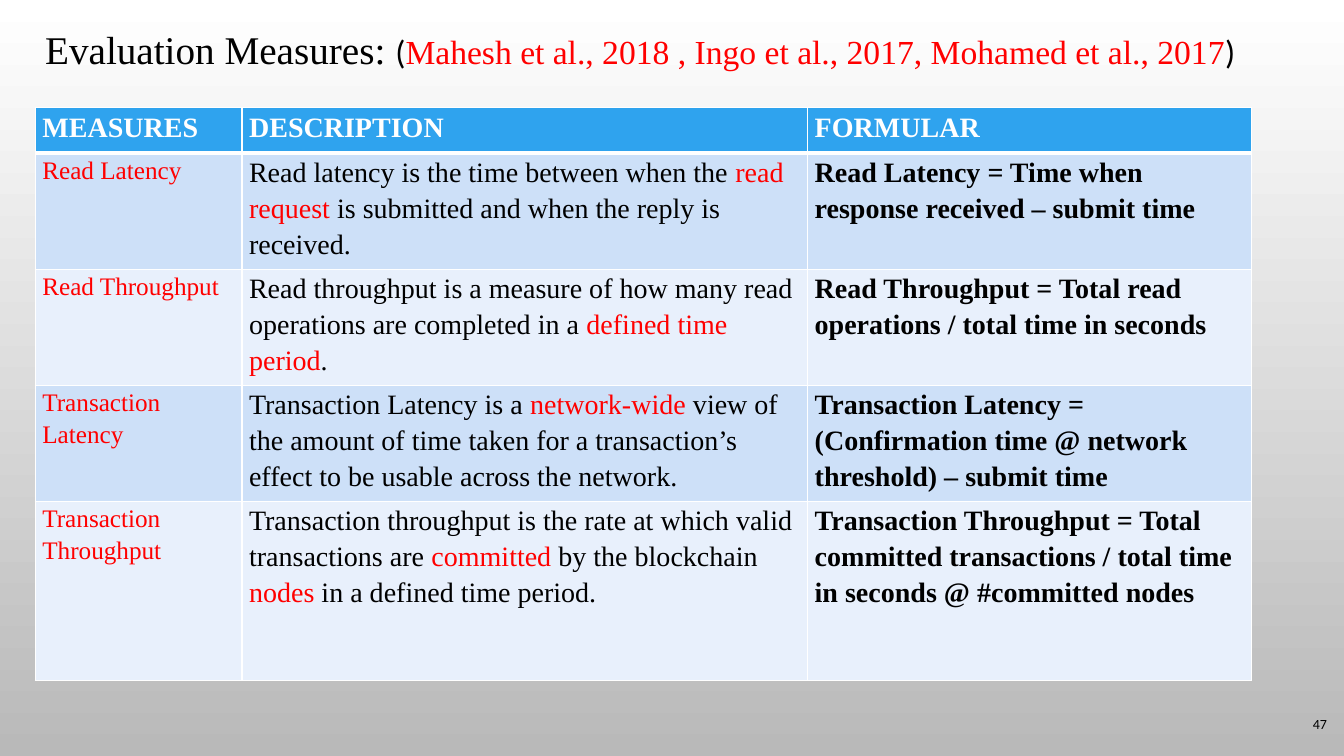
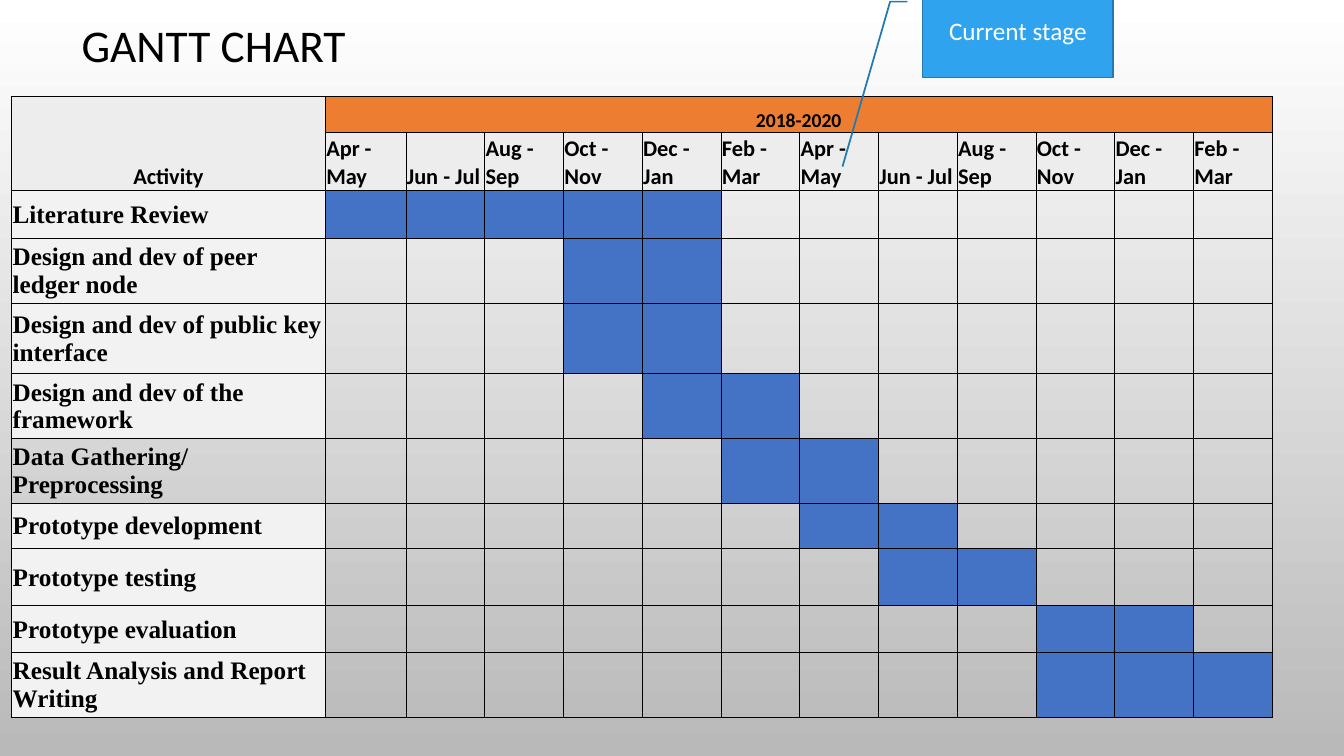
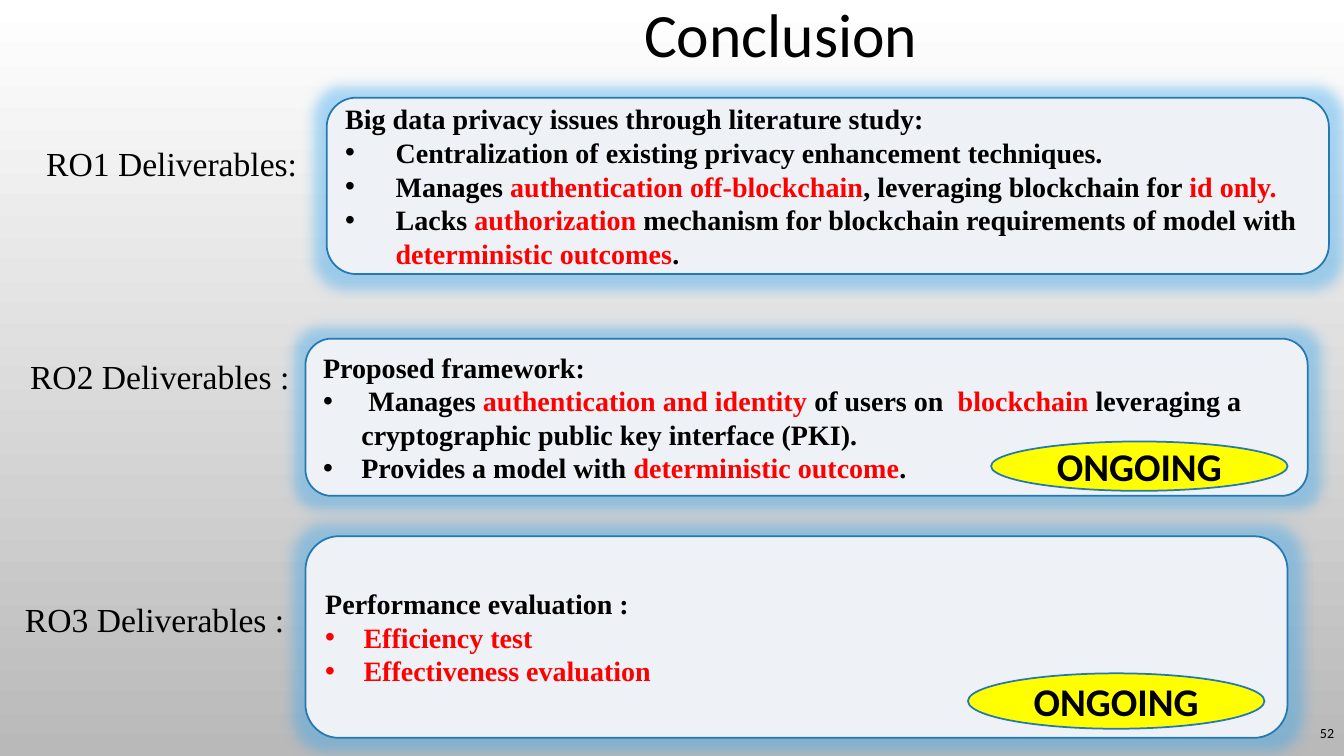
from dataclasses import dataclass, replace
from typing import Any, NamedTuple

from lxml.etree import SubElement
from pptx import Presentation
from pptx.dml.color import RGBColor
from pptx.enum.shapes import MSO_SHAPE
from pptx.enum.text import MSO_ANCHOR, PP_ALIGN
from pptx.oxml.ns import qn
from pptx.util import Emu, Inches, Pt


# Theme
@dataclass(frozen=True)
class Font:
    size: float
    face: str = "Times New Roman"
    bold: bool = False
    color: str = "000000"


@dataclass(frozen=True)
class Theme:
    top: str = "FFFFFF"
    base: str = "B9B9B9"
    ink: str = "000000"
    white: str = "FFFFFF"
    red: str = "FF0000"
    blue: str = "2FA3EE"
    edge: str = "2379B0"
    pale: str = "EEF2F7"
    gold: str = "FFFF00"
    bands: tuple[str, str] = ("CDE0F8", "E8F0FC")
    bar: str = "4472C4"
    year: str = "ED7D31"
    head: str = "EDEDED"
    side: str = "F2F2F2"
    title: Font = Font(28)
    cite: Font = Font(24)
    brace: Font = Font(24, "Calibri")
    gantt: Font = Font(32.4, "Calibri")
    close: Font = Font(44, "Calibri")
    page: Font = Font(10, "Calibri")
    label: Font = Font(24)
    body: Font = Font(20)
    strong: Font = Font(20, bold=True)
    small: Font = Font(18)
    task: Font = Font(18, bold=True)
    month: Font = Font(16, "Calibri", True)
    span: Font = Font(14, "Calibri", True)
    note: Font = Font(18, "Calibri", color="FFFFFF")
    badge: Font = Font(28, "Calibri", True)


T = Theme()
WIDE, HIGH = Inches(13.33), Inches(7.5)
LOOSE = {"line_spacing": 1.15, "space_after": Pt(10)}
MID = {"alignment": PP_ALIGN.CENTER}
SIDE = {"alignment": PP_ALIGN.RIGHT}
LABEL = {"alignment": PP_ALIGN.JUSTIFY, "line_spacing": 0.95, "space_after": Pt(6)}


# Grid of 100 columns and 100 rows over the slide
def col(n: float) -> Emu:
    return Emu(round(WIDE * n / 100))


def row(n: float) -> Emu:
    return Emu(round(HIGH * n / 100))


class Box(NamedTuple):
    x: float
    y: float
    w: float
    h: float

    def place(self) -> tuple[Emu, Emu, Emu, Emu]:
        return col(self.x), row(self.y), col(self.w), row(self.h)


class Card(NamedTuple):
    label: str
    spot: Box
    box: Box
    hang: float
    lines: tuple[str, ...]


class Task(NamedTuple):
    name: str
    high: float
    start: int
    count: int
    fill: str | None = T.side


# Text
def put(item: Any, form: dict[str, Any]) -> None:
    for key, val in form.items():
        setattr(item, key, val)


def add_run(para: Any, text: str, font: Font) -> None:
    run = para.add_run()
    run.text = text
    put(run.font, {"size": Pt(font.size), "name": font.face, "bold": font.bold})
    run.font.color.rgb = RGBColor.from_string(font.color)


def mark(para: Any, text: str, font: Font) -> None:
    """Text between asterisks is red."""
    for i, part in enumerate(text.split("*")):
        if part:
            add_run(para, part, replace(font, color=T.red) if i % 2 else font)


def indent(para: Any, left: float, first: float, bullet: bool = False) -> None:
    props = para._p.get_or_add_pPr()
    props.set("marL", str(Inches(left)))
    props.set("indent", str(Inches(first)))
    if bullet:
        SubElement(props, qn("a:buFont"), typeface="Arial")
        SubElement(props, qn("a:buChar"), char="•")


def write(frame: Any, lines: tuple[str, ...], font: Font,
          form: dict[str, Any], hang: float = 0) -> None:
    for i, line in enumerate(lines):
        para = frame.add_paragraph() if i else frame.paragraphs[0]
        put(para, form)
        if line.startswith("•"):
            indent(para, hang, -hang, True)
        mark(para, line.removeprefix("•"), font)


def add_text(slide: Any, box: Box, text: str, font: Font,
             form: dict[str, Any], anchor: Any = MSO_ANCHOR.TOP) -> Any:
    frame = slide.shapes.add_textbox(*box.place()).text_frame
    put(frame, {"word_wrap": True, "vertical_anchor": anchor})
    write(frame, (text,), font, form)
    return frame.paragraphs[0]


def add_page(slide: Any, box: Box, num: int) -> None:
    add_text(slide, box, str(num), T.page, SIDE, MSO_ANCHOR.MIDDLE)


# Shapes
def add_form(slide: Any, kind: Any, box: Box, fill: str, lines: tuple[str, ...],
             font: Font, align: Any, hang: float = 0) -> Any:
    shape = slide.shapes.add_shape(kind, *box.place())
    shape.shadow.inherit = False
    shape.fill.solid()
    shape.fill.fore_color.rgb = RGBColor.from_string(fill)
    shape.line.color.rgb = RGBColor.from_string(T.edge)
    shape.line.width = Pt(1.25)
    put(shape.text_frame, {"word_wrap": True, "vertical_anchor": MSO_ANCHOR.MIDDLE})
    write(shape.text_frame, lines, font, {"alignment": align}, hang)
    return shape


def add_glow(shape: Any) -> None:
    effects = shape._element.spPr.find(qn("a:effectLst"))
    glow = SubElement(effects, qn("a:glow"), rad=str(Pt(18)))
    tint = SubElement(glow, qn("a:srgbClr"), val=T.blue)
    SubElement(tint, qn("a:alpha"), val="40000")


# Tables
def add_grid(slide: Any, x: float, y: float, cols: list[float], rows: list[float]) -> Any:
    box = Box(x, y, sum(cols), sum(rows))
    table = slide.shapes.add_table(len(rows), len(cols), *box.place()).table
    put(table, {"first_row": False, "horz_banding": False})
    for part, size in zip(table.columns, cols):
        part.width = col(size)
    for part, size in zip(table.rows, rows):
        part.height = row(size)
    return table


def dress(cell: Any, fill: str | None, line: str, wide: float,
          pad: tuple[float, float], anchor: Any, low: float | None = None) -> None:
    side, top = pad
    put(cell, {"margin_left": Inches(side), "margin_right": Inches(side),
               "margin_top": Inches(top), "margin_bottom": 0,
               "vertical_anchor": anchor})
    props = cell._tc.get_or_add_tcPr()
    for edge in "LRTB":
        size = low if low and edge == "B" else wide
        rule = SubElement(props, qn(f"a:ln{edge}"), w=str(Pt(size)))
        paint = SubElement(rule, qn("a:solidFill"))
        SubElement(paint, qn("a:srgbClr"), val=line)
    if fill:
        cell.fill.solid()
        cell.fill.fore_color.rgb = RGBColor.from_string(fill)
    else:
        cell.fill.background()


# Evaluation measures
HEADS = ("MEASURES", "DESCRIPTION", "FORMULAR")
MEASURES = (
    ("*Read Latency*",
     "Read latency is the time between when the *read request *is submitted and when "
     "the reply is received.",
     "Read Latency = Time when response received – submit time"),
    ("*Read Throughput*",
     "Read throughput is a measure of how many read operations are completed in a "
     "*defined time period*.",
     "Read Throughput = Total read operations / total time in seconds"),
    ("*Transaction Latency*",
     "Transaction Latency is a *network-wide *view of the amount of time taken for a "
     "transaction’s effect to be usable across the network.",
     "Transaction Latency = (Confirmation time @ network threshold) – submit time"),
    ("*Transaction Throughput*",
     "Transaction throughput is the rate at which valid transactions are *committed* "
     "by the blockchain *nodes* in a defined time period.",
     "Transaction Throughput = Total committed transactions / total time in seconds "
     "@ #committed nodes"),
)


def draw_eval(slide: Any) -> None:
    para = add_text(slide, Box(2.63, 1.73, 94.7, 8), "Evaluation Measures: ", T.title, LOOSE)
    add_run(para, "(", T.brace)
    mark(para, "*Mahesh et al., 2018 , Ingo et al., 2017, Mohamed et al., 2017*", T.cite)
    add_run(para, ")", T.brace)

    table = add_grid(slide, 2.63, 14.27, [15.38, 42.09, 33.01], [6, *[15.07] * 3, 23.73])
    for r, texts in enumerate((HEADS, *MEASURES)):
        for c, text in enumerate(texts):
            cell = table.cell(r, c)
            fill = T.bands[(r - 1) % 2] if r else T.blue
            dress(cell, fill, T.white, 1, (0.07, 0), MSO_ANCHOR.TOP, None if r else 3)
            font = (T.small, T.body, T.strong)[c] if r else replace(T.strong, color=T.white)
            write(cell.text_frame, (text,), font, LOOSE)
    add_page(slide, Box(93.17, 93.07, 6.3, 5.33), 47)


# Gantt chart
MONTHS = ("Apr - May", "Jun - Jul", "Aug - Sep", "Oct - Nov", "Dec - Jan", "Feb - Mar") * 2
TASKS = (
    Task("Literature Review", 6.4, 1, 5),
    Task("Design and dev of peer ledger node", 8.53, 4, 2),
    Task("Design and dev of public key interface", 9.33, 4, 2),
    Task("Design and dev of the framework", 8.6, 5, 2),
    Task("Data Gathering/ Preprocessing", 8.53, 6, 2, None),
    Task("Prototype development", 6, 7, 2),
    Task("Prototype testing", 7.6, 8, 2),
    Task("Prototype evaluation", 6.2, 10, 2),
    Task("Result Analysis and Report Writing", 8.53, 10, 3),
)


def draw_gantt(slide: Any) -> None:
    add_text(slide, Box(0.9, 2.4, 30, 7.87), "GANTT CHART", T.gantt,
             {**MID, "line_spacing": 0.9}, MSO_ANCHOR.MIDDLE)
    table = add_grid(slide, 0.87, 12.75, [23.33, 6, *[5.86] * 11],
                     [4.8, 7.6, *(task.high for task in TASKS)])

    def fill_in(r: int, c: int, fill: str | None, text: str = "", font: Font = T.month,
                form: dict[str, Any] = {}, anchor: Any = MSO_ANCHOR.BOTTOM) -> None:
        cell = table.cell(r, c)
        dress(cell, fill, T.ink, 0.5, (0.01, 0.01), anchor)
        write(cell.text_frame, (text,), font, form)

    # Headings
    table.cell(0, 0).merge(table.cell(1, 0))
    table.cell(0, 1).merge(table.cell(0, len(MONTHS)))
    fill_in(0, 0, T.head, "Activity", form=MID)
    fill_in(1, 0, T.head)
    for c, name in enumerate(MONTHS, 1):
        fill_in(0, c, T.year, "2018-2020" if c == 1 else "", T.span, MID)
        fill_in(1, c, T.head, name)
    # Tasks and their bars
    for r, task in enumerate(TASKS, 2):
        fill_in(r, 0, task.fill, task.name, T.task, anchor=MSO_ANCHOR.MIDDLE)
        for c in range(1, len(MONTHS) + 1):
            fill_in(r, c, T.bar if 0 <= c - task.start < task.count else None)

    call = add_form(slide, MSO_SHAPE.LINE_CALLOUT_2, Box(68.64, -2.13, 14.18, 12.4),
                    T.blue, ("Current stage",), T.note, PP_ALIGN.CENTER)
    for i, val in enumerate((0.19, -0.08, 0.19, -0.17, 1.95, -0.42)):
        call.adjustments[i] = val


# Conclusion
CARDS = (
    Card("RO1 Deliverables:", Box(1.2, 18.67, 21.91, 6.4), Box(24.31, 12.93, 74.57, 23.33), 0.5, (
        "Big data privacy issues through literature study:",
        "•Centralization of existing privacy enhancement techniques.",
        "•Manages *authentication off-blockchain*, leveraging blockchain for *id only.*",
        "•Lacks *authorization *mechanism for blockchain requirements of model with "
        "*deterministic outcomes*.")),
    Card("RO2 Deliverables :", Box(0, 46.8, 23.11, 6.4), Box(22.73, 44.8, 74.57, 20.8), 0.38, (
        "Proposed framework:",
        "• Manages *authentication and identity *of users on  *blockchain* leveraging a "
        "cryptographic public key interface (PKI).",
        "•Provides a model with *deterministic outcome*.")),
    Card("RO3 Deliverables :", Box(-0.38, 78.93, 23.11, 6.4), Box(22.73, 70.93, 73.07, 26.67), 0.38, (
        "Performance evaluation :",
        "•*Efficiency test*",
        "•*Effectiveness evaluation*")),
)
BADGES = (Box(72.02, 89.07, 22.06, 7.33), Box(73.74, 58.4, 22.06, 6.53))


def draw_close(slide: Any) -> None:
    add_text(slide, Box(47.19, -1.2, 30.68, 11.2), "Conclusion", T.close, {})
    for card in CARDS:
        indent(add_text(slide, card.spot, card.label, T.label, LABEL), 0, 0.2)
        add_glow(add_form(slide, MSO_SHAPE.ROUNDED_RECTANGLE, card.box, T.pale,
                          card.lines, T.strong, PP_ALIGN.LEFT, card.hang))
    for box in BADGES:
        add_form(slide, MSO_SHAPE.OVAL, box, T.gold, ("ONGOING",), T.badge, PP_ALIGN.CENTER)
    add_page(slide, Box(93.7, 94.27, 6.3, 5.33), 52)


# Deck
def main() -> None:
    deck = Presentation()
    put(deck, {"slide_width": WIDE, "slide_height": HIGH})
    back = deck.slide_master.background.fill
    back.gradient()
    back.gradient_angle = 270
    for stop, tone, spot in zip(back.gradient_stops, (T.top, T.base), (0, 1)):
        stop.color.rgb = RGBColor.from_string(tone)
        stop.position = spot
    for draw in (draw_eval, draw_gantt, draw_close):
        draw(deck.slides.add_slide(deck.slide_layouts[6]))
    deck.save("out.pptx")


if __name__ == "__main__":
    main()
